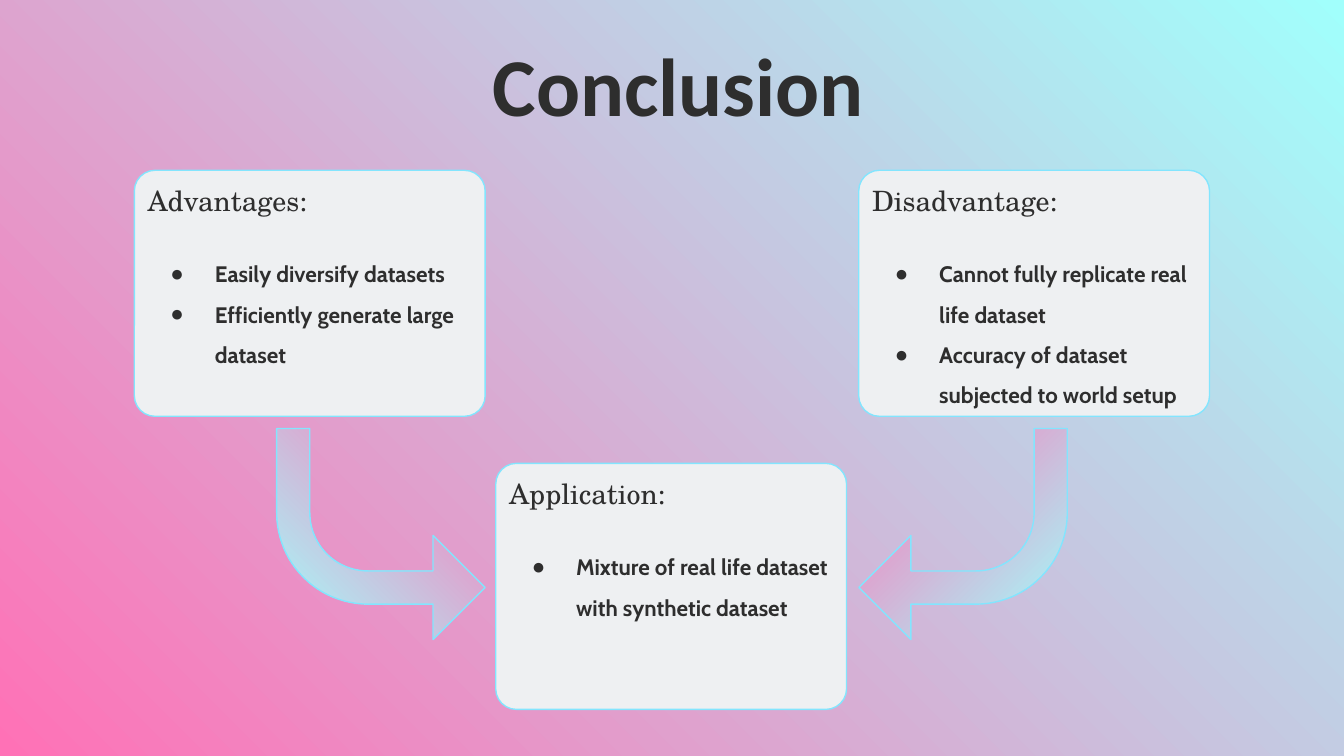
from lxml import etree
from pptx import Presentation
from pptx.dml.color import RGBColor
from pptx.enum import shapes, text
from pptx.oxml.ns import qn
from pptx.util import Cm, Pt

INK = RGBColor(0x2E, 0x2E, 0x2E)
CARD = RGBColor(0xEE, 0xF0, 0xF2)
EDGE = RGBColor(0x83, 0xE5, 0xFE)
CYAN = RGBColor(0xA1, 0xFF, 0xFC)
PINK = RGBColor(0xFF, 0x71, 0xB6)

CARD_W, CARD_H = Cm(6.63), Cm(4.65)
ARROW_W, ARROW_H = Cm(3.94), Cm(3.99)
LEFT, MIDDLE, RIGHT = Cm(2.54), Cm(9.37), Cm(16.23)
UPPER, LOWER, ARROW_TOP = Cm(3.22), Cm(8.76), Cm(8.1)

# Placeholder index, left, top, heading, points
CARDS = [
    (1, LEFT, UPPER, "Advantages:",
     ["Easily diversify datasets", "Efficiently generate large dataset"]),
    (2, RIGHT, UPPER, "Disadvantage:",
     ["Cannot fully replicate real life dataset",
      "Accuracy of dataset subjected to world setup"]),
    (3, MIDDLE, LOWER, "Application:",
     ["Mixture of real life dataset with synthetic dataset"]),
]


def place(item, left, top, width, height):
    item.left, item.top, item.width, item.height = left, top, width, height


def fill_gradient(fill, angle):
    """Run cyan to pink; the angle is counter-clockwise."""
    fill.gradient()
    fill.gradient_angle = angle
    for stop, color in zip(fill.gradient_stops, (CYAN, PINK)):
        stop.color.rgb = color


def outline(shape):
    shape.shadow.inherit = False
    shape.line.color.rgb = EDGE
    shape.line.width = Pt(0.75)


def prepare_frame(frame):
    frame.word_wrap = True
    frame.auto_size = text.MSO_AUTO_SIZE.NONE
    frame.vertical_anchor = text.MSO_ANCHOR.TOP
    frame.margin_left = frame.margin_right = Cm(0.25)
    frame.margin_top = frame.margin_bottom = Cm(0.25)


def style(paragraph, font_name, size, bold):
    paragraph.font.name = font_name
    paragraph.font.size = Pt(size)
    paragraph.font.bold = bold
    paragraph.font.color.rgb = INK


def set_bullet(paragraph, char=None):
    props = paragraph._p.get_or_add_pPr()
    props.set("marL", str(Cm(1.27) if char else 0))
    props.set("indent", str(Cm(-0.84) if char else 0))
    if char:
        color = etree.SubElement(props, qn("a:buClr"))
        etree.SubElement(color, qn("a:srgbClr"), val=str(INK))
        etree.SubElement(props, qn("a:buChar"), char=char)
    else:
        etree.SubElement(props, qn("a:buNone"))


def add_title(slide, left, top, width, height):
    title = slide.shapes.title
    place(title, left, top, width, height)
    frame = title.text_frame
    prepare_frame(frame)
    frame.margin_top = Cm(0.35)
    heading = frame.paragraphs[0]
    heading.text = "Conclusion"
    heading.alignment = text.PP_ALIGN.CENTER
    style(heading, "Calibri", 44, True)


def add_card(slide, body, left, top, heading, points):
    box = (left, top, CARD_W, CARD_H)
    panel = slide.shapes.add_shape(shapes.MSO_SHAPE.ROUNDED_RECTANGLE, *box)
    panel.adjustments[0] = 0.084
    panel.fill.solid()
    panel.fill.fore_color.rgb = CARD
    outline(panel)

    place(body, *box)
    slide.shapes._spTree.append(body._element)  # text goes in front of its panel
    frame = body.text_frame
    prepare_frame(frame)
    first = frame.paragraphs[0]
    first.text = heading
    set_bullet(first)
    first.space_before = Pt(0)
    style(first, "TeX Gyre Schola", 15, False)
    for number, point in enumerate(points):
        item = frame.add_paragraph()
        item.text = point
        set_bullet(item, "●")
        item.line_spacing = 1.5
        item.space_before = Pt(0 if number else 16)
        style(item, "Cabin", 12, True)


def add_arrow(slide, left, top, mirrored=False):
    arrow = slide.shapes.add_shape(
        shapes.MSO_SHAPE.BENT_ARROW, left, top, ARROW_W, ARROW_H)
    for index, value in enumerate((0.159, 0.25, 0.25, 0.438)):
        arrow.adjustments[index] = value
    arrow.rotation = 180
    if mirrored:
        arrow._element.spPr.find(qn("a:xfrm")).set("flipH", "1")
    fill_gradient(arrow.fill, 315)
    outline(arrow)


def main():
    deck = Presentation()
    deck.slide_width, deck.slide_height = Cm(25.4), Cm(14.29)
    slide = deck.slides.add_slide(deck.slide_layouts.get_by_name("Comparison"))
    fill_gradient(slide.background.fill, 225)

    add_title(slide, Cm(5.66), Cm(0.3), Cm(14.33), Cm(2.13))
    bodies = {holder.placeholder_format.idx: holder for holder in slide.placeholders}
    for index, *card in CARDS:
        add_card(slide, bodies[index], *card)
    spare = bodies[4]._element
    spare.getparent().remove(spare)

    add_arrow(slide, RIGHT, ARROW_TOP)
    add_arrow(slide, LEFT + CARD_W - ARROW_W, ARROW_TOP, mirrored=True)
    deck.save("out.pptx")


if __name__ == "__main__":
    main()
